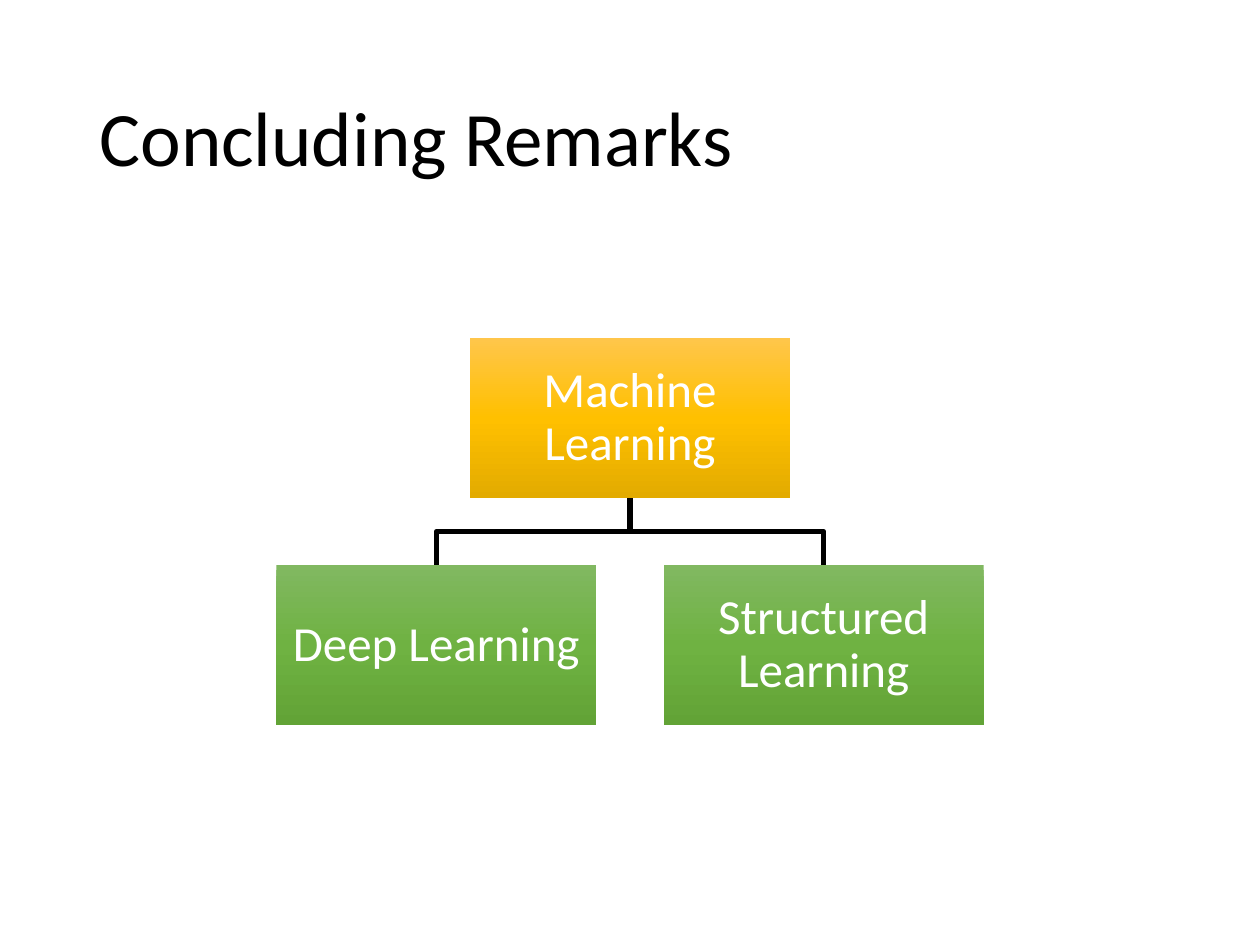
from copy import deepcopy

from pptx import Presentation
from pptx import util as u
from pptx.dml.color import RGBColor
from pptx.enum import shapes, text
from pptx.oxml.ns import qn

GOLD = ("FFC64B", "FFC000", "E3AB00")
GREEN = ("81B861", "6FB242", "62A336")


def colour(value):
    return RGBColor.from_string(value)


def style_text(frame, size, value, align):
    frame.auto_size = text.MSO_AUTO_SIZE.NONE
    frame.word_wrap = True
    frame.vertical_anchor = text.MSO_ANCHOR.MIDDLE
    for para in frame.paragraphs:
        para.alignment = align
        para.line_spacing = 0.9
        para.font.name = "Calibri"
        para.font.size = u.Pt(size)
        para.font.color.rgb = colour(value)


def fill_gradient(shape, colours):
    shape.fill.gradient()
    shape.fill.gradient_angle = 270
    stop_list = shape.element.spPr.find(".//" + qn("a:gsLst"))
    stop_list.insert(1, deepcopy(stop_list[0]))
    for stop, position, value in zip(shape.fill.gradient_stops, (0, 0.5, 1), colours):
        stop.position = position
        stop.color.rgb = colour(value)


def place_title(page, wording, left, top, width, height):
    title = page.shapes.title
    title.left, title.top, title.width, title.height = left, top, width, height
    title.text_frame.text = wording
    style_text(title.text_frame, 44, "000000", text.PP_ALIGN.LEFT)


def add_node(group, wording, colours, left, top, width, height):
    node = group.add_shape(shapes.MSO_SHAPE.RECTANGLE, left, top, width, height)
    node.shadow.inherit = False
    node.line.fill.background()
    fill_gradient(node, colours)
    frame = node.text_frame
    frame.text = wording
    frame.margin_left = frame.margin_right = u.Cm(0.05)
    frame.margin_top = frame.margin_bottom = u.Cm(0.05)
    style_text(frame, 28, "FFFFFF", text.PP_ALIGN.CENTER)


def add_branch(group, start_x, start_y, end_x, end_y):
    middle_y = (start_y + end_y) // 2
    builder = group.build_freeform(start_x, start_y)
    builder.add_line_segments(
        [(start_x, middle_y), (end_x, middle_y), (end_x, end_y)], close=False
    )
    branch = builder.convert_to_shape()
    branch.shadow.inherit = False
    branch.fill.background()
    branch.line.color.rgb = colour("000000")
    branch.line.width = u.Pt(3)


def add_hierarchy(page, root, children, left, top, width, height):
    group = page.shapes.add_group_shape().shapes
    node_width, node_height = u.Cm(6.45), u.Cm(3.23)
    step = (width - node_width) // (len(children) - 1)
    child_top = top + height - node_height
    child_lefts = [left + index * step for index in range(len(children))]
    centre = left + width // 2
    for child_left in child_lefts:
        add_branch(
            group, centre, top + node_height, child_left + node_width // 2, child_top
        )
    add_node(group, root, GOLD, centre - node_width // 2, top, node_width, node_height)
    for wording, child_left in zip(children, child_lefts):
        add_node(group, wording, GREEN, child_left, child_top, node_width, node_height)


def main():
    deck = Presentation()
    deck.slide_width, deck.slide_height = u.Cm(25.4), u.Cm(19.05)
    page = deck.slides.add_slide(deck.slide_layouts[5])
    place_title(
        page, "Concluding Remarks", u.Cm(1.75), u.Cm(1.01), u.Cm(21.9), u.Cm(3.68)
    )
    add_hierarchy(
        page,
        "Machine Learning",
        ["Deep Learning", "Structured Learning"],
        u.Cm(5.57),
        u.Cm(6.81),
        u.Cm(14.26),
        u.Cm(7.81),
    )
    deck.save("out.pptx")


if __name__ == "__main__":
    main()
